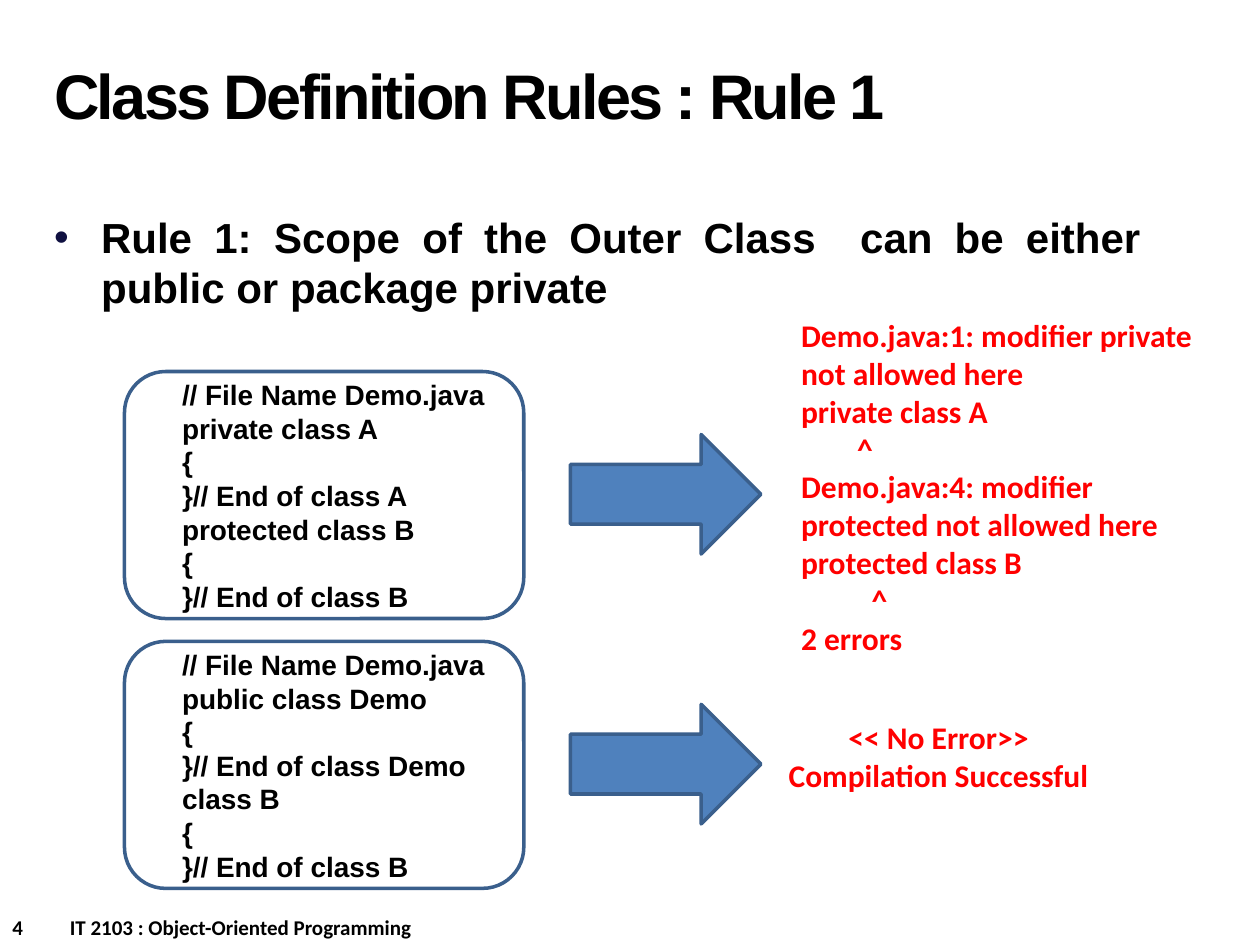
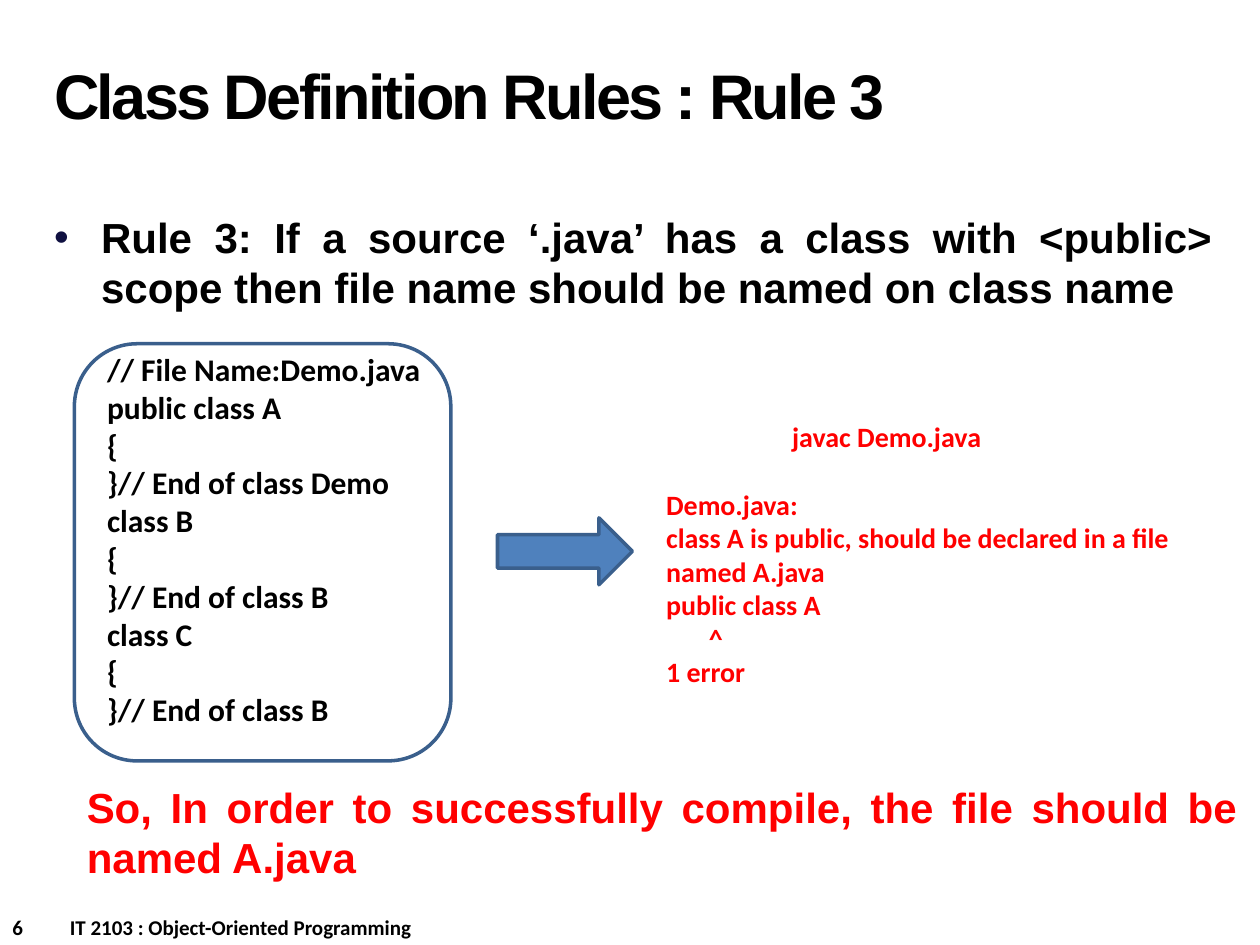
import dataclasses

import pptx
import pptx.dml.color
import pptx.enum.shapes
import pptx.enum.text
import pptx.oxml.ns
import pptx.util
from lxml import etree

Cm = pptx.util.Cm
Pt = pptx.util.Pt
ALIGN = pptx.enum.text.PP_ALIGN
SHAPE = pptx.enum.shapes.MSO_SHAPE


@dataclasses.dataclass(frozen=True)
class Theme:
    ink: str = "000000"
    alert: str = "FF0000"
    bullet: str = "101141"
    arrow: str = "4F81BD"
    outline: str = "3A5F8C"
    heading_font: str = "Arial"
    body_font: str = "Calibri"
    title_size: int = 36
    rule_size: int = 24
    large_size: int = 18
    small_size: int = 16
    footer_size: int = 12
    outline_width: int = 2


THEME = Theme()
COURSE = "IT 2103 : Object-Oriented Programming"


def rgb(value):
    return pptx.dml.color.RGBColor.from_string(value)


def add_xml(parent, tag, **attributes):
    return etree.SubElement(parent, pptx.oxml.ns.qn(tag), attributes)


def add_text(shapes, box, lines, size, font, color=THEME.ink, align=ALIGN.LEFT):
    frame = shapes.add_textbox(*map(Cm, box)).text_frame
    frame.word_wrap = True
    for index, line in enumerate(lines):
        paragraph = frame.paragraphs[0] if index == 0 else frame.add_paragraph()
        paragraph.text = line
        paragraph.alignment = align
        paragraph.font.size = Pt(size)
        paragraph.font.name = font
        paragraph.font.bold = True
        paragraph.font.color.rgb = rgb(color)
    return frame


def indent(paragraph, left, first=0):
    properties = paragraph._p.get_or_add_pPr()
    properties.set("marL", str(Cm(left)))
    properties.set("indent", str(Cm(first)))
    return properties


def add_title(slide, text):
    frame = add_text(slide.shapes, (0.84, 0.43, 17.58, 3.18), [text],
                     THEME.title_size, THEME.heading_font)
    frame.vertical_anchor = pptx.enum.text.MSO_ANCHOR.MIDDLE
    title = frame.paragraphs[0]
    title.line_spacing = Pt(THEME.title_size)
    title.runs[0].font._element.set("spc", "-150")


def add_rule(slide, text, width):
    frame = add_text(slide.shapes, (0.84, 4.14, width, 2.4), [text],
                     THEME.rule_size, THEME.heading_font, align=ALIGN.JUSTIFY)
    rule = frame.paragraphs[0]
    rule.space_before = Pt(THEME.rule_size * 0.2)
    properties = indent(rule, 0.95, -0.95)
    add_xml(add_xml(properties, "a:buClr"), "a:srgbClr", val=THEME.bullet)
    add_xml(properties, "a:buFont", typeface=THEME.heading_font)
    add_xml(properties, "a:buChar", char="•")


def add_footer(slide, number):
    frame = add_text(slide.shapes, (0, 18.31, 12.7, 0.76), [f"{number}\t{COURSE}"],
                     THEME.footer_size, THEME.body_font)
    tabs = add_xml(frame.paragraphs[0]._p.get_or_add_pPr(), "a:tabLst")
    add_xml(tabs, "a:tab", pos=str(Cm(1.16)), algn="l")


def outline(shape):
    shape.shadow.inherit = False
    shape.line.color.rgb = rgb(THEME.outline)
    shape.line.width = Pt(THEME.outline_width)


def add_code(slide, box, text_offset, text_width, lines, size, font):
    left, top, _, height = box
    listing = slide.shapes.add_group_shape().shapes
    add_text(listing, (left + text_offset, top, text_width, height), lines, size, font)
    border = listing.add_shape(SHAPE.ROUNDED_RECTANGLE, *map(Cm, box))
    border.fill.background()
    outline(border)


def add_arrow(slide, box):
    arrow = slide.shapes.add_shape(SHAPE.RIGHT_ARROW, *map(Cm, box))
    arrow.fill.solid()
    arrow.fill.fore_color.rgb = rgb(THEME.arrow)
    outline(arrow)


def add_compiler_output(slide, box, lines, size, align=ALIGN.LEFT, indents=()):
    frame = add_text(slide.shapes, box, lines, size, THEME.body_font, THEME.alert, align)
    for line, left in indents:
        indent(frame.paragraphs[line], left)
    return frame


def start_slide(deck, number, rule_number, rule, rule_width):
    slide = deck.slides.add_slide(deck.slide_layouts[6])
    add_footer(slide, number)
    add_rule(slide, f"Rule {rule_number}: {rule}", rule_width)
    add_title(slide, f"Class Definition Rules : Rule {rule_number}")
    return slide


def class_code(declaration, end):
    return [declaration, "{", f"}}// End of class {end}"]


def build_scope_slide(deck):
    slide = start_slide(
        deck, 4, 1,
        "Scope of the Outer Class  can be either  public or package private", 22.86)
    examples = [
        (7.49, class_code("private class A", "A") + class_code("protected class B", "B")),
        (12.93, class_code("public class Demo", "Demo") + class_code("class B", "B")),
    ]
    for top, classes in examples:
        add_code(slide, (2.51, top, 8.05, 4.98), 0.91, 7.49,
                 ["// File Name Demo.java"] + classes,
                 THEME.small_size, THEME.heading_font)
        add_arrow(slide, (11.5, top + 1.27, 3.84, 2.41))
    add_compiler_output(
        slide, (15.9, 6.25, 8.84, 7.19),
        ["Demo.java:1: modifier private not allowed here", "private class A", "^",
         "Demo.java:4: modifier protected not allowed here", "protected class B", "^",
         "2 errors"],
        THEME.large_size, indents=[(2, 1.13), (5, 1.42)])
    add_compiler_output(
        slide, (14.5, 14.35, 8.84, 1.8), ["<< No Error>>", "Compilation Successful"],
        THEME.large_size, ALIGN.CENTER)


def build_file_name_slide(deck):
    slide = start_slide(
        deck, 6, 3,
        "If a source ‘.java’ has a class with <public> scope then file name "
        "should be named on class name", 23.85)
    compiler_output = add_compiler_output(
        slide, (13.18, 8.33, 11.84, 5.74),
        ["javac Demo.java", "Demo.java:",
         "class A is public, should be declared in a file named A.java",
         "public class A", "^", "1 error"],
        THEME.small_size, indents=[(0, 2.54), (4, 0.86)])
    compiler_output.paragraphs[1].space_before = Pt(19.5)
    add_arrow(slide, (10.03, 10.44, 2.72, 1.35))
    add_code(slide, (1.5, 6.93, 7.59, 8.41), 0.41, 8,
             ["// File Name:Demo.java"] + class_code("public class A", "Demo")
             + class_code("class B", "B") + class_code("class C", "B"),
             THEME.large_size, THEME.body_font)
    add_text(slide.shapes, (1.5, 15.62, 23.7, 2.31),
             ["So, In order to successfully compile, the file should be named A.java"],
             THEME.rule_size, THEME.heading_font, THEME.alert, ALIGN.JUSTIFY)


def main():
    deck = pptx.Presentation()
    deck.slide_width = Cm(25.4)
    deck.slide_height = Cm(19.05)
    build_scope_slide(deck)
    build_file_name_slide(deck)
    deck.save("out.pptx")


if __name__ == "__main__":
    main()
